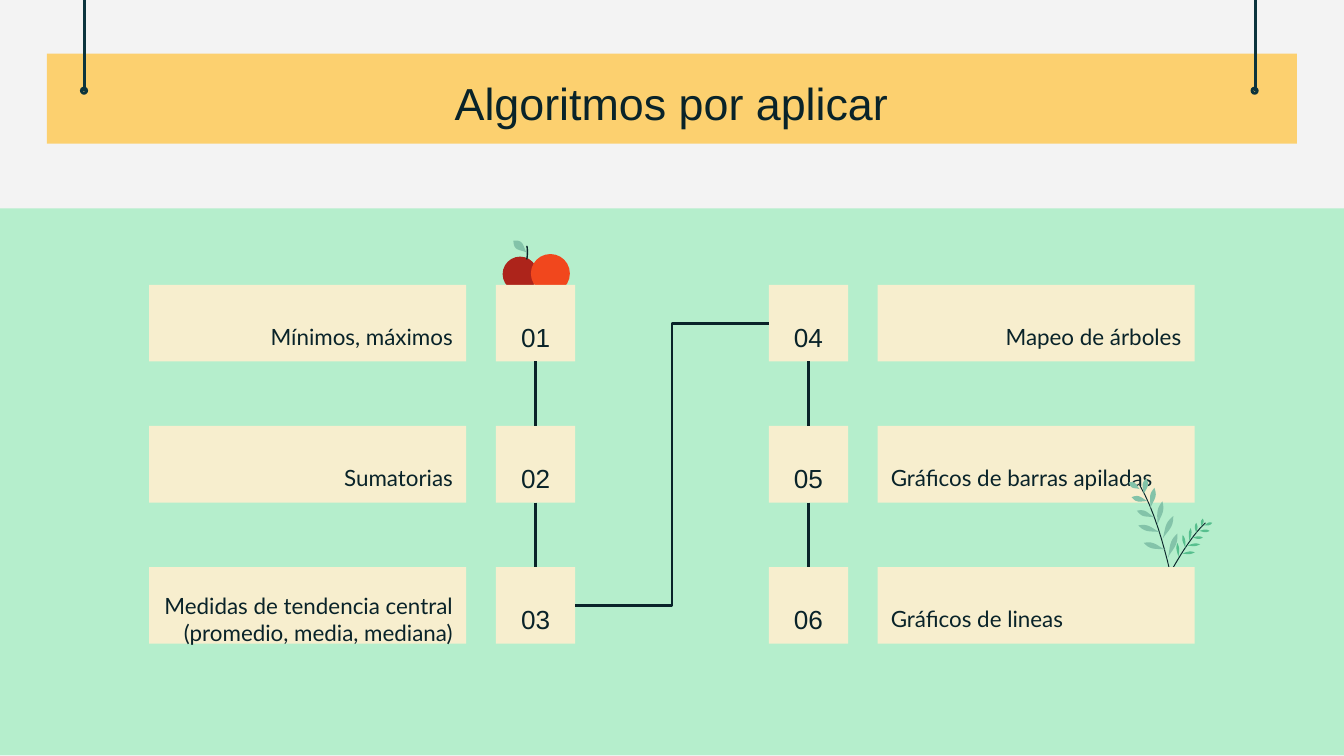
import math
from lxml import etree
from pptx import Presentation
from pptx.dml.color import RGBColor
from pptx.enum.shapes import MSO_CONNECTOR, MSO_SHAPE
from pptx.enum.text import MSO_ANCHOR, PP_ALIGN
from pptx.oxml.ns import qn
from pptx.util import Inches, Pt

RECT, OVAL, DONUT = MSO_SHAPE.RECTANGLE, MSO_SHAPE.OVAL, MSO_SHAPE.DONUT
LINE, ELBOW = MSO_CONNECTOR.STRAIGHT, MSO_CONNECTOR.ELBOW
LEFT, MID, RIGHT = PP_ALIGN.LEFT, PP_ALIGN.CENTER, PP_ALIGN.RIGHT
HEAD, MIDDLE = MSO_ANCHOR.TOP, MSO_ANCHOR.MIDDLE
TOP, WEST, BOTTOM, EAST = range(4)  # connection sites of a rectangle

INK, ROPE, CREAM = "092329", "0C343D", "F7EECE"
SAGE, GREEN = "83C3A9", "57BF8E"

# Label and its alignment, numbered in order down two columns
STEPS = [
    ("Mínimos, máximos", RIGHT),
    ("Sumatorias", RIGHT),
    ("Medidas de tendencia central (promedio, media, mediana)", RIGHT),
    ("Mapeo de árboles", RIGHT),
    ("Gráficos de barras apiladas", LEFT),
    ("Gráficos de lineas", LEFT),
]
COLS = [(1.11, 3.69), (6.53, 5.72)]  # label left, number left
ROWS, FIRST, PITCH, HIGH = 3, 2.12, 1.05, 0.57

# Twigs: colour, leaf half width, stem curve, leaves from base to tip
TWIGS = [
    (SAGE, 0.02, [(8.48, 3.61), (8.64, 3.88), (8.73, 4.37), (8.73, 4.37)], [
        (8.69, 4.15, 8.76, 3.97), (8.65, 4.01, 8.73, 3.84),
        (8.61, 3.91, 8.65, 3.73), (8.56, 3.78, 8.59, 3.63),
        (8.51, 3.68, 8.53, 3.56), (8.48, 3.64, 8.40, 3.59),
        (8.54, 3.73, 8.42, 3.70), (8.59, 3.85, 8.46, 3.80),
        (8.63, 3.96, 8.47, 3.91), (8.67, 4.09, 8.51, 4.04)]),
    (GREEN, 0.01, [(8.97, 3.89), (8.84, 4.01), (8.71, 4.26), (8.71, 4.26)], [
        (8.77, 4.15, 8.76, 4.04), (8.82, 4.08, 8.80, 3.98),
        (8.85, 4.03, 8.86, 3.93), (8.90, 3.97, 8.90, 3.89),
        (8.94, 3.92, 8.95, 3.86), (8.96, 3.91, 9.02, 3.89),
        (8.92, 3.95, 9.00, 3.95), (8.87, 4.00, 8.95, 4.00),
        (8.83, 4.06, 8.93, 4.05), (8.79, 4.12, 8.89, 4.11)]),
]


def rgb(code):
    return RGBColor.from_string(code)


def paint(shape, fill=None, line=None, width=0.75):
    shape.shadow.inherit = False
    if fill:
        shape.fill.solid()
        shape.fill.fore_color.rgb = rgb(fill)
    else:
        shape.fill.background()
    if line:
        shape.line.color.rgb = rgb(line)
        shape.line.width = Pt(width)
    else:
        shape.line.fill.background()
    return shape


def block(shapes, kind, x, y, w, h, fill, line=None):
    box = [Inches(v) for v in (x, y, w, h)]
    return paint(shapes.add_shape(kind, *box), fill, line)


def write(shape, text, size, font, align, anchor=MIDDLE,
          after=16, top=0.2, low=0):
    frame = shape.text_frame
    look = {"word_wrap": True, "vertical_anchor": anchor,
            "margin_left": Inches(0.1), "margin_right": Inches(0.1),
            "margin_top": Inches(top), "margin_bottom": Inches(low)}
    for name, value in look.items():
        setattr(frame, name, value)
    para = frame.paragraphs[0]
    para.alignment, para.space_after = align, Pt(after)
    run = para.add_run()
    run.text = text
    for name, value in {"size": Pt(size), "name": font, "bold": False}.items():
        setattr(run.font, name, value)
    run.font.color.rgb = rgb(INK)


def wire(shapes, kind, start, end, color=INK):
    ends = [Inches(v) for v in (*start, *end)]
    line = shapes.add_connector(kind, *ends)
    line.line.color.rgb = rgb(color)
    line.line.width = Pt(1.5)
    etree.SubElement(line.element.spPr, qn("a:effectLst"))
    return line


def outline(shapes, points, closed, **look):
    spots = [(Inches(x), Inches(y)) for x, y in points]
    form = shapes.build_freeform(*spots[0])
    form.add_line_segments(spots[1:], close=closed)
    return paint(form.convert_to_shape(), **look)


def leaf(shapes, x1, y1, x2, y2, half, color):
    long = math.hypot(x2 - x1, y2 - y1)
    dx, dy = (x2 - x1) / long, (y2 - y1) / long
    points = []
    for i in range(20):
        t = i / 10 if i <= 10 else 2 - i / 10
        side = half * math.sin(math.pi * t ** 1.4) * (1 if i <= 10 else -1)
        points.append((x1 + dx * long * t - dy * side,
                       y1 + dy * long * t + dx * side))
    outline(shapes, points, True, fill=color)


def stem(shapes, curve, width):
    points = []
    for i in range(13):
        t = i / 12
        mix = [(1 - t) ** 3, 3 * t * (1 - t) ** 2, 3 * t * t * (1 - t), t ** 3]
        points.append([sum(m * p[axis] for m, p in zip(mix, curve))
                       for axis in (0, 1)])
    outline(shapes, points, False, line=INK, width=width)


def fruit(shapes):
    block(shapes, OVAL, 3.74, 1.91, 0.26, 0.26, "AD241B")
    block(shapes, OVAL, 3.95, 1.89, 0.29, 0.29, "F1471D")
    stem(shapes, [(3.92, 1.83), (3.93, 1.87), (3.92, 1.93), (3.92, 1.93)], 0.75)
    leaf(shapes, 3.92, 1.88, 3.82, 1.79, 0.03, SAGE)


def twigs(shapes):
    for color, half, curve, leaves in TWIGS:
        stem(shapes, curve, 0.5)
        for ends in leaves:
            leaf(shapes, *ends, half, color)


def banner(slide):
    shapes = slide.shapes
    block(shapes, RECT, -0.03, 1.55, 10.05, 4.07, "B5EECC")
    block(shapes, RECT, 0.35, 0.4, 9.3, 0.67, "FCD06F")
    for x in (0.63, 9.34):
        wire(shapes, LINE, (x, 0), (x, 0.68), ROPE)
        block(shapes, DONUT, x - 0.03, 0.65, 0.05, 0.05, ROPE, ROPE)
    title = shapes.title
    place = {"left": 1.5, "top": 0.46, "width": 6.99, "height": 0.63}
    for name, value in place.items():
        setattr(title, name, Inches(value))
    write(title, "Algoritmos por aplicar", 24, "Arial", MID, HEAD, 0, 0.1, 0.1)
    title.element.getparent().append(title.element)  # in front of the bands


def steps(shapes):
    decor = {0: fruit, 5: twigs}  # each stands behind its step
    tiles = []
    for i, (text, align) in enumerate(STEPS):
        if i in decor:
            decor[i](shapes)
        label, number = COLS[i // ROWS]
        y = FIRST + PITCH * (i % ROWS)
        card = block(shapes, RECT, label, y, 2.36, HIGH, CREAM)
        write(card, text, 12, "Lato", align)
        tile = block(shapes, RECT, number, y, 0.59, HIGH, CREAM)
        write(tile, f"{i + 1:02d}", 14, "Arial", MID)
        tiles.append(tile)
    # Join each number to the next
    for i, (old, new) in enumerate(zip(tiles, tiles[1:]), 1):
        turn = i % ROWS == 0
        line = wire(shapes, ELBOW if turn else LINE, (0, 0), (1, 1))
        line.begin_connect(old, EAST if turn else BOTTOM)
        line.end_connect(new, WEST if turn else TOP)


def main():
    deck = Presentation()
    deck.slide_width = Inches(10)
    deck.slide_height = deck.slide_width * 9 // 16
    slide = deck.slides.add_slide(deck.slide_layouts[5])
    back = slide.background.fill
    back.solid()
    back.fore_color.rgb = rgb("F3F3F3")
    banner(slide)
    steps(slide.shapes)
    deck.save("out.pptx")


if __name__ == "__main__":
    main()
